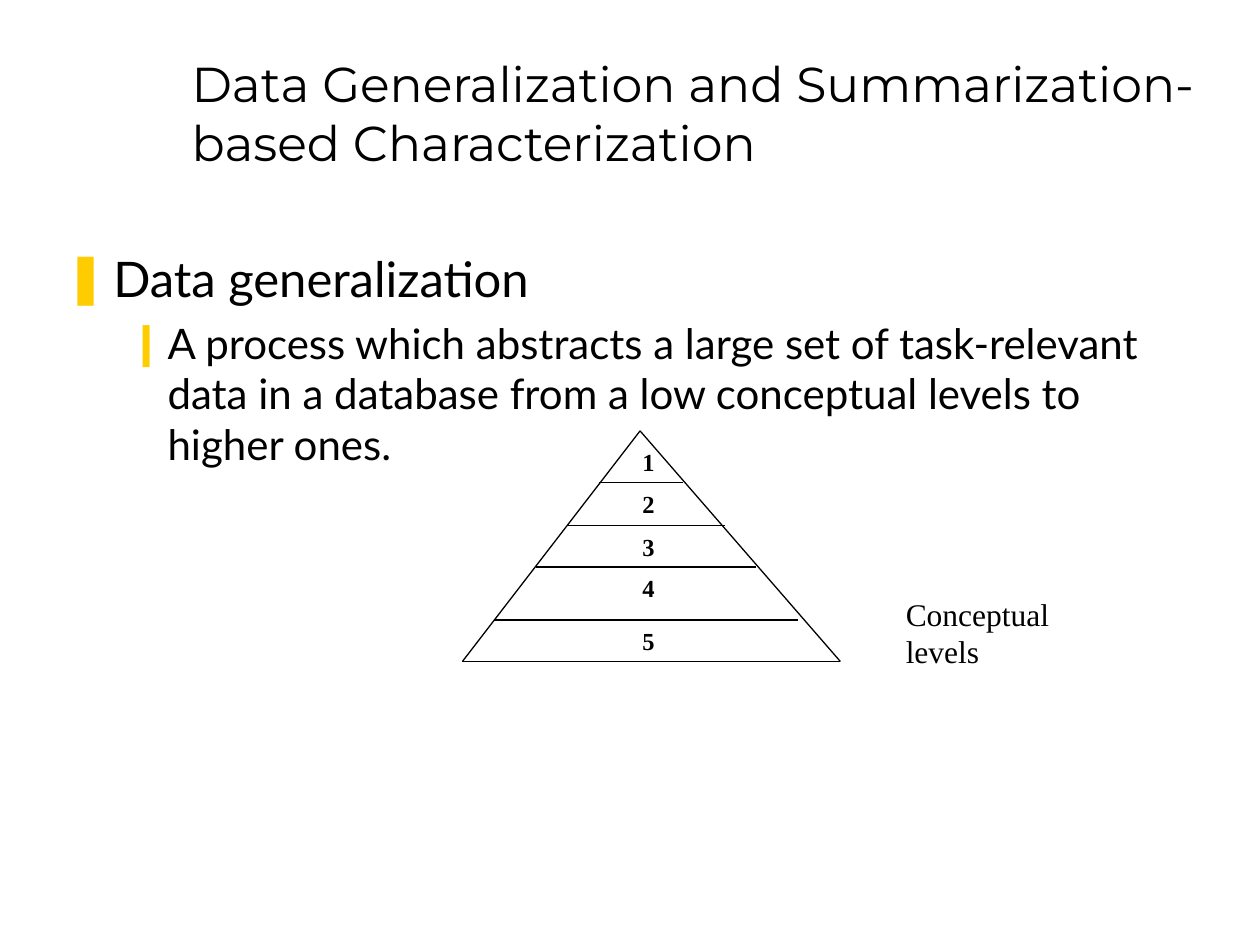
from lxml import etree
from pptx import Presentation
from pptx.dml.color import RGBColor
from pptx.enum.shapes import MSO_CONNECTOR
from pptx.enum.text import MSO_ANCHOR, MSO_AUTO_SIZE, PP_ALIGN
from pptx.oxml.ns import qn
from pptx.util import Inches, Pt

STRAIGHT = MSO_CONNECTOR.STRAIGHT
TOP, BOTTOM = MSO_ANCHOR.TOP, MSO_ANCHOR.BOTTOM
FIXED, GROW = MSO_AUTO_SIZE.NONE, MSO_AUTO_SIZE.SHAPE_TO_FIT_TEXT
LEFT = PP_ALIGN.LEFT
BLACK = RGBColor(0x00, 0x00, 0x00)
GOLD = RGBColor(0xFF, 0xCC, 0x00)
WHITE = RGBColor(0xFF, 0xFF, 0xFF)


def write(para, text, font, size, bold=False, color=BLACK, before=0):
    """Add formatted text to a paragraph."""
    para.alignment = LEFT
    para.space_before = Pt(before)
    span = para.add_run()
    span.text = text
    span.font.name = font
    span.font.size = Pt(size)
    span.font.bold = bold
    span.font.color.rgb = color


def add_bullet(para, symbol, margin, indent, color=GOLD):
    """Give a paragraph a coloured bullet with a hanging indent."""
    props = para._p.get_or_add_pPr()
    props.set("marL", str(Inches(margin)))
    props.set("indent", str(Inches(indent)))
    fill = etree.SubElement(props, qn("a:buClr"))
    etree.SubElement(fill, qn("a:srgbClr"), val=str(color))
    etree.SubElement(props, qn("a:buChar"), char=symbol)


class SlideBuilder:
    """Hold the style and the current slide."""

    title_font = "Montserrat"
    body_font = "Lato"
    label_font = "Times New Roman"
    line_width = 0.75

    def __init__(self, page):
        """Start on a page with a white background."""
        self.page = page
        page.background.fill.solid()
        page.background.fill.fore_color.rgb = WHITE

    def place(self, box, left, top, width, height, anchor):
        """Move a placeholder and return its text frame."""
        box.left, box.top = Inches(left), Inches(top)
        box.width, box.height = Inches(width), Inches(height)
        frame = box.text_frame
        frame.auto_size = FIXED
        frame.vertical_anchor = anchor
        return frame

    def title(self, text, *bounds):
        """Fill the title placeholder."""
        frame = self.place(self.page.shapes.title, *bounds, BOTTOM)
        write(frame.paragraphs[0], text, self.title_font, 28)

    def bullets(self, items, *bounds):
        """Fill the body placeholder with a bulleted list."""
        frame = self.place(self.page.placeholders[1], *bounds, TOP)
        for index, (level, text, size, before, *bullet) in enumerate(items):
            para = frame.add_paragraph() if index else frame.paragraphs[0]
            para.level = level
            write(para, text, self.body_font, size, before=before)
            add_bullet(para, *bullet)

    def line(self, start, end):
        """Draw a thin straight line between two points."""
        points = [Inches(value) for value in (*start, *end)]
        line = self.page.shapes.add_connector(STRAIGHT, *points)
        line.line.color.rgb = BLACK
        line.line.width = Pt(self.line_width)
        etree.SubElement(line._element.spPr, qn("a:effectLst"))

    def label(self, text, left, top, width, height, size, bold=False):
        """Add a one-line text box."""
        bounds = [Inches(value) for value in (left, top, width, height)]
        box = self.page.shapes.add_textbox(*bounds)
        box.text_frame.word_wrap = False
        box.text_frame.auto_size = GROW
        write(box.text_frame.paragraphs[0], text, self.label_font, size, bold)


def main():
    """Build the slide and save it."""
    deck = Presentation()
    deck.slide_width, deck.slide_height = Inches(10), Inches(7.5)
    slide = SlideBuilder(deck.slides.add_slide(deck.slide_layouts[1]))

    slide.title("Data Generalization and Summarization-based Characterization",
                1.42, 0.33, 8.36, 1.08)
    slide.bullets([
        (0, "Data generalization", 28, 7, "❚", 0.38, -0.38),
        (1, "A process which abstracts a large set of task-relevant data in a "
            "database from a low conceptual levels to higher ones.",
         24, 6, "❙", 0.81, -0.31),
    ], 0.42, 1.92, 9.17, 5.25)

    apex, base_left, base_right = (5.08, 3.42), (3.67, 5.25), (6.67, 5.25)
    for start, end in ((apex, base_left), (apex, base_right), (base_left, base_right)):
        slide.line(start, end)

    dividers = [(4.75, 5.42, 3.83), (4.5, 5.75, 4.17), (4.25, 6, 4.5), (3.92, 6.33, 4.92)]
    for left, right, height in dividers:
        slide.line((left, height), (right, height))

    level_tops = [3.5] + [height for _, _, height in dividers]
    for number, top in enumerate(level_tops, start=1):
        slide.label(str(number), 5, top, 0.3, 0.34, 14, bold=True)
    slide.label("Conceptual levels", 7.09, 4.67, 1.98, 0.4, 18)

    deck.save("out.pptx")


if __name__ == "__main__":
    main()
